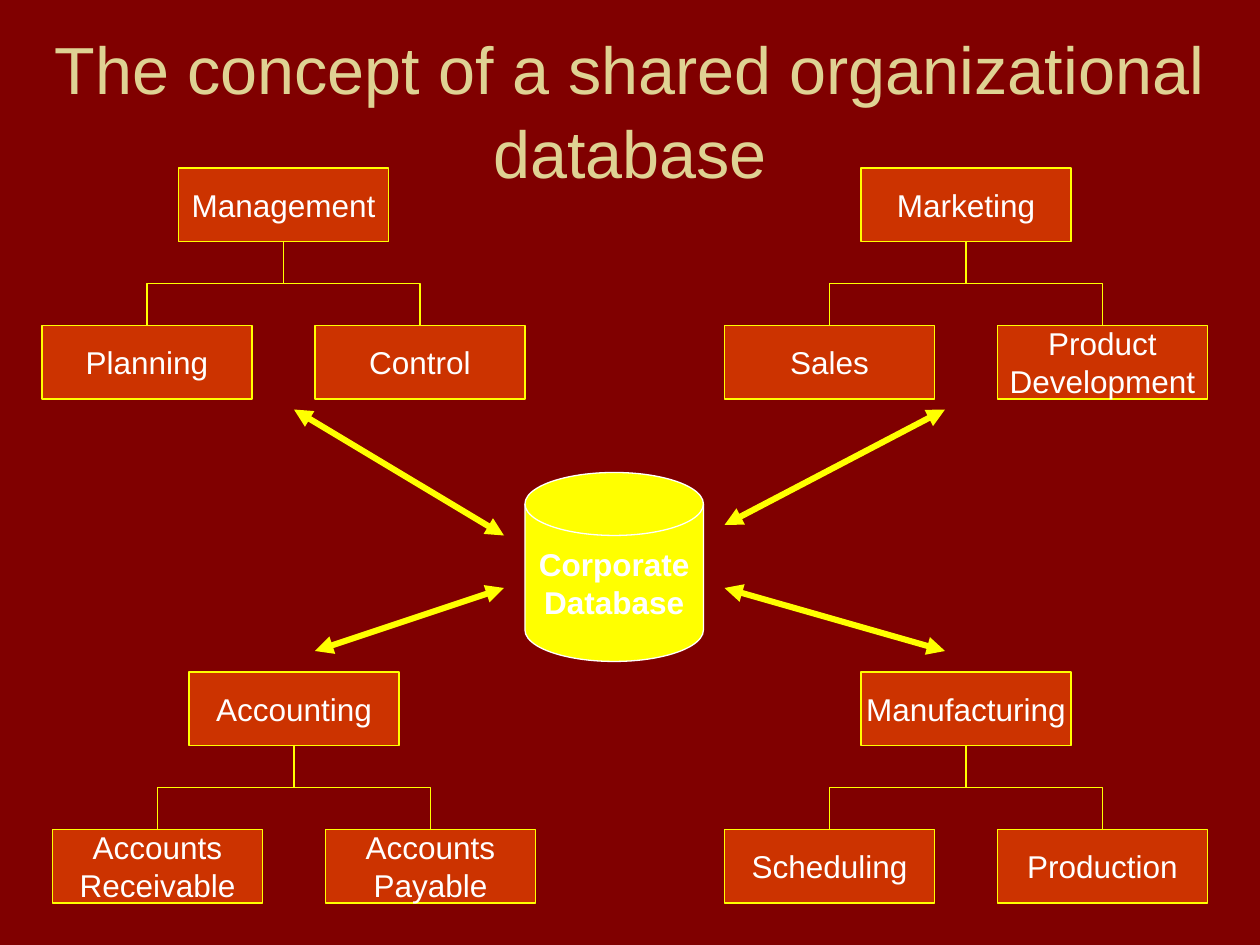
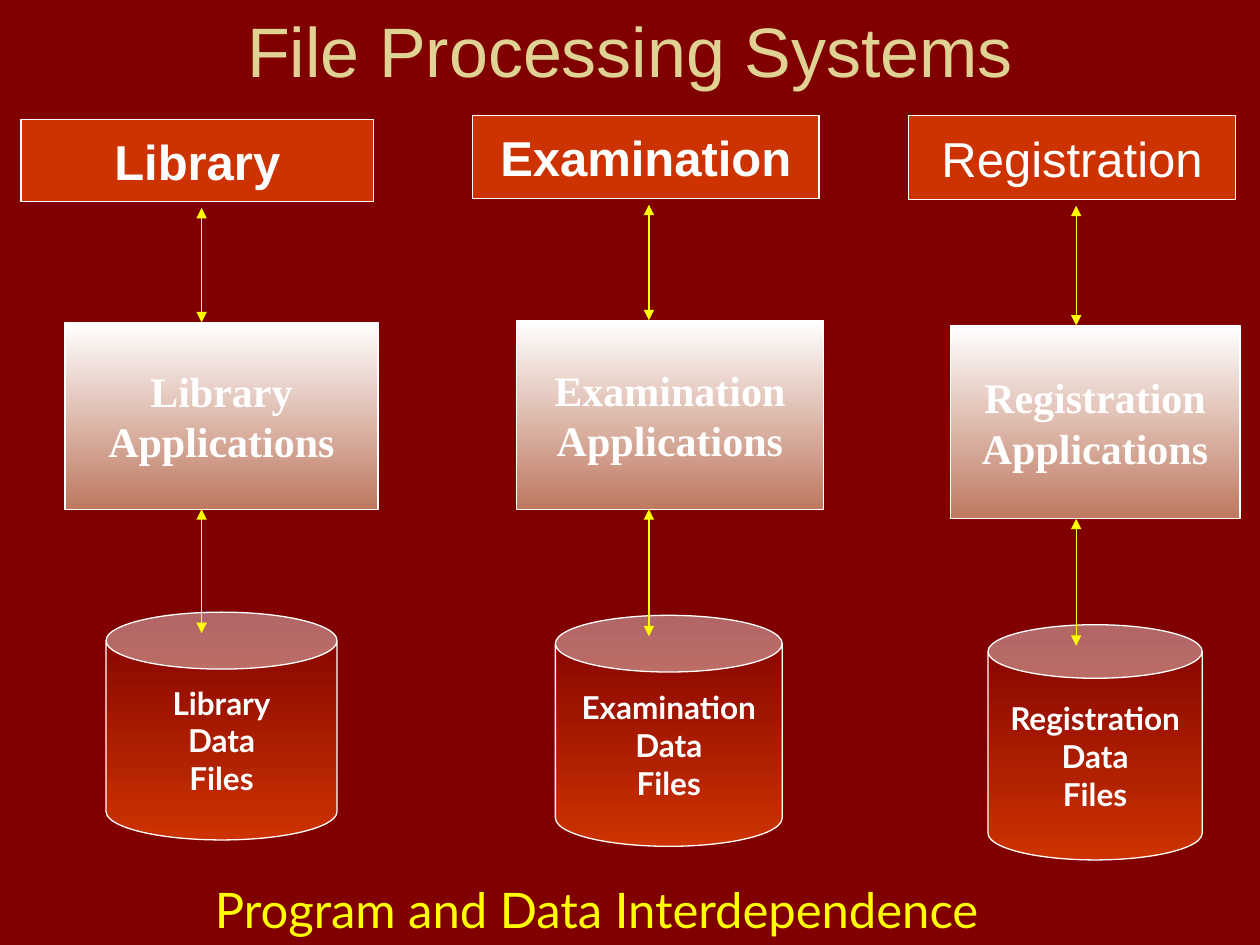
from dataclasses import dataclass

from lxml import etree
from pptx import Presentation
from pptx import util as u
from pptx.dml.color import RGBColor
from pptx.enum import shapes, text
from pptx.oxml.ns import qn

CELL = u.Inches(10) / 120  # the slide is a grid of 120 x 90 cells
SHAPE = shapes.MSO_SHAPE
CONNECTOR = shapes.MSO_CONNECTOR


@dataclass(frozen=True)
class Font:
    name: str
    size: float
    color: str = "FFFFFF"
    bold: bool = False


@dataclass(frozen=True)
class Theme:
    back: str = "800000"
    box: str = "CC3300"
    accent: str = "FFFF00"
    outline: str = "FFFFFF"
    app_fade: tuple = ("FFFFFF", "BE7960")
    file_fade: tuple = ("800000", "CC3300")
    thin: float = 0.75
    thick: float = 3.5
    long_title: Font = Font("Arial", 38, "DFD293")
    title: Font = Font("Arial", 40, "DFD293")
    unit: Font = Font("Arial", 18)
    database: Font = Font("Arial", 18, bold=True)
    header: Font = Font("Arial", 28)
    bold_header: Font = Font("Arial", 28, bold=True)
    app: Font = Font("Times New Roman", 24, bold=True)
    files: Font = Font("Lato", 18, bold=True)
    caption: Font = Font("Lato", 28, "FFFF00")


T = Theme()


@dataclass(frozen=True)
class System:
    name: str
    header: tuple
    app: tuple
    files: tuple
    arrow_x: float
    header_font: Font = T.bold_header


# Parent, its two children, and the parent's left and top cell
DEPARTMENTS = [
    ("Accounting", ("Accounts\nReceivable", "Accounts\nPayable"), 18, 64),
    ("Management", ("Planning", "Control"), 17, 16),
    ("Manufacturing", ("Scheduling", "Production"), 82, 64),
    ("Marketing", ("Sales", "Product\nDevelopment"), 82, 16),
]
DATABASE_ARROWS = [
    ((28, 39), (48, 51)),
    ((48, 56), (30, 62)),
    ((90, 39), (69, 50)),
    ((69, 56), (90, 62)),
]
SYSTEMS = [
    System("Registration", (86.5, 11, 31.2, 8), (90.5, 31, 27.6, 18.4),
           (94.1, 59.5, 20.4, 22.4), 102.5, T.header),
    System("Examination", (45, 11, 33, 7.9), (49.2, 30.5, 29.2, 18),
           (52.9, 58.6, 21.6, 22), 61.8),
    System("Library", (2, 11.4, 33.6, 7.8), (6.2, 30.7, 29.8, 17.8),
           (10.1, 58.3, 22, 21.7), 19.2),
]


def cells(*counts):
    return [u.Emu(round(n * CELL)) for n in counts]


def rgb(value):
    return RGBColor.from_string(value)


def write(tf, words, font, align=text.PP_ALIGN.CENTER):
    tf.text = words
    for p in tf.paragraphs:
        p.alignment = align
        for r in p.runs:
            r.font.name, r.font.size = font.name, u.Pt(font.size)
            r.font.bold = font.bold
            r.font.color.rgb = rgb(font.color)


def add_slide(prs, title, font, area):
    slide = prs.slides.add_slide(prs.slide_layouts[5])
    sp = slide.shapes.title
    sp.left, sp.top, sp.width, sp.height = cells(*area)
    tf = sp.text_frame
    write(tf, title, font)
    tf.auto_size = text.MSO_AUTO_SIZE.NONE
    tf.vertical_anchor = text.MSO_ANCHOR.MIDDLE
    tf.paragraphs[0].line_spacing = 1.05
    return slide


def add_block(parent, kind, area, words, font, fill, outline=T.outline):
    """Labelled shape; a pair of colours as fill gives a vertical fade."""
    sp = parent.shapes.add_shape(kind, *cells(*area))
    sp.shadow.inherit = False
    if isinstance(fill, tuple):
        sp.fill.gradient()
        sp.fill.gradient_angle = 270
        for stop, color in zip(sp.fill.gradient_stops, fill):
            stop.color.rgb = rgb(color)
    else:
        sp.fill.solid()
        sp.fill.fore_color.rgb = rgb(fill)
    sp.line.color.rgb = rgb(outline)
    sp.line.width = u.Pt(T.thin)
    tf = sp.text_frame
    tf.word_wrap = False
    tf.vertical_anchor = text.MSO_ANCHOR.MIDDLE
    write(tf, words, font)
    return sp


def add_line(parent, kind, start, end, width=T.thin):
    c = parent.shapes.add_connector(kind, *cells(*start, *end))
    c.line.color.rgb = rgb(T.accent)
    c.line.width = u.Pt(width)
    etree.SubElement(c._element.spPr, qn("a:effectLst"))
    return c


def add_arrow(parent, start, end, width=T.thin):
    c = add_line(parent, CONNECTOR.STRAIGHT, start, end, width)
    ln = c._element.spPr.find(qn("a:ln"))
    for tip in ("a:headEnd", "a:tailEnd"):
        etree.SubElement(ln, qn(tip), type="triangle")


def add_branch(parent, start, end):
    """Elbow that leaves and arrives vertically: laid out flat, turned by 90°."""
    mid_x, mid_y = (start[0] + end[0]) / 2, (start[1] + end[1]) / 2
    dx, dy = start[0] - mid_x, start[1] - mid_y
    c = add_line(parent, CONNECTOR.ELBOW,
                 (mid_x + dy, mid_y - dx), (mid_x - dy, mid_y + dx))
    c._element.spPr.find(qn("a:xfrm")).set("rot", str(90 * 60000))


def add_department(slide, name, children, left, top):
    width, height, drop, spread = 20, 7, 15, 13
    group = slide.shapes.add_group_shape()
    middle = left + width / 2

    def unit(words, x, y):
        add_block(group, SHAPE.RECTANGLE, (x, y, width, height), words,
                  T.unit, T.box, T.accent)

    unit(name, left, top)
    for child, shift in zip(children, (-spread, spread)):
        unit(child, left + shift, top + drop)
        add_branch(group, (middle + shift, top + drop), (middle, top + height))


def add_system(slide, system):
    group = slide.shapes.add_group_shape()
    add_block(group, SHAPE.RECTANGLE, system.app,
              f"{system.name}\nApplications", T.app, T.app_fade)
    add_block(group, SHAPE.CAN, system.files,
              f"{system.name}\nData\nFiles", T.files, T.file_fade)
    add_block(group, SHAPE.RECTANGLE, system.header, system.name,
              system.header_font, T.box)

    # Arrows from header to application and from application to files
    x = system.arrow_x
    header_end = system.header[1] + system.header[3]
    app_top, app_end = system.app[1], system.app[1] + system.app[3]
    add_arrow(group, (x, header_end + 0.6), (x, app_top))
    add_arrow(group, (x, app_end), (x, system.files[1] + 2))


def shared_database(prs):
    slide = add_slide(prs, "The concept of a shared organizational database",
                      T.long_title, (0, 4.6, 120, 11.4))
    for department in DEPARTMENTS:
        add_department(slide, *department)
    add_block(slide, SHAPE.FLOWCHART_MAGNETIC_DISK, (50, 45, 17, 18),
              "Corporate\nDatabase", T.database, T.accent)
    for start, end in DATABASE_ARROWS:
        add_arrow(slide, start, end, T.thick)


def file_processing(prs):
    slide = add_slide(prs, "File Processing Systems", T.title, (6, 0, 108, 9))
    caption = slide.shapes.add_textbox(*cells(19.3, 83.2, 81.8, 6.8))
    caption.text_frame.word_wrap = True
    write(caption.text_frame, "Program and Data Interdependence", T.caption,
          text.PP_ALIGN.LEFT)
    for system in SYSTEMS:
        add_system(slide, system)


def main():
    prs = Presentation()
    prs.slide_width, prs.slide_height = cells(120, 90)
    back = prs.slide_master.background.fill
    back.solid()
    back.fore_color.rgb = rgb(T.back)
    shared_database(prs)
    file_processing(prs)
    prs.save("out.pptx")


if __name__ == "__main__":
    main()
